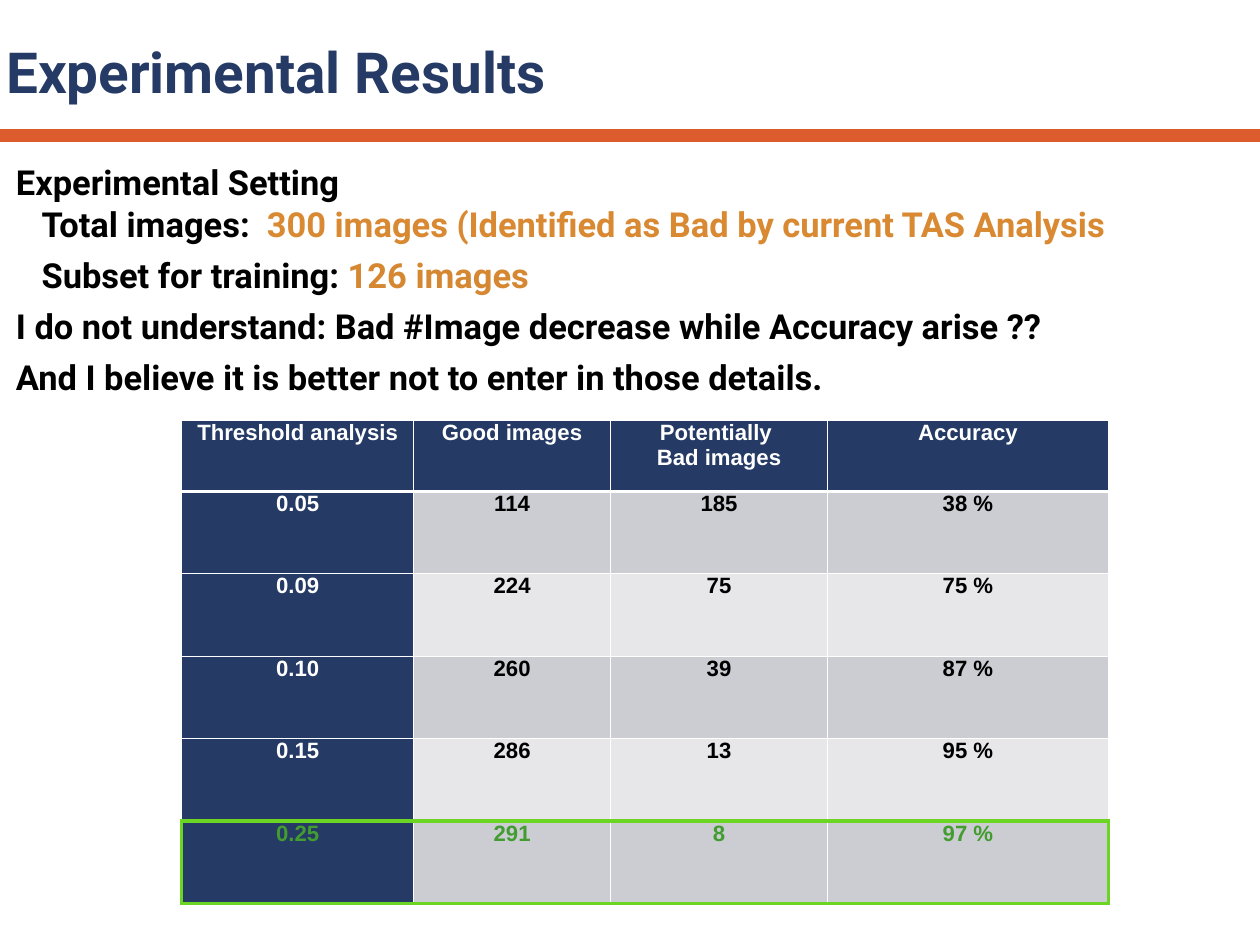
from lxml import etree
from pptx import Presentation
from pptx import util as u
from pptx.dml import color
from pptx.enum import shapes, text
from pptx.oxml import ns

THEME = {
    "navy": "253A65", "rule": "DD5C2D", "black": "000000", "white": "FFFFFF",
    "total": "D88932", "subset": "D58731", "best": "439C30", "frame": "6AD523",
    "dark_band": "CBCDD2", "light_band": "E7E7EA",
    "title_font": {"name": "Roboto", "size": u.Pt(46), "bold": True},
    "body_font": {"name": "Roboto", "size": u.Pt(28), "bold": True},
    "table_font": {"name": "Arial", "size": u.Pt(18), "bold": True},
}


def format_font(font, font_format, color_name):
    for name, value in THEME[font_format].items():
        setattr(font, name, value)
    font.color.rgb = color.RGBColor.from_string(THEME[color_name])


def place(shape, left, top, width, height, anchor):
    box = {"left": left, "top": top, "width": width, "height": height}
    for name, value in box.items():
        setattr(shape, name, u.Inches(value))
    frame_format = {"word_wrap": True, "auto_size": text.MSO_AUTO_SIZE.NONE,
                    "vertical_anchor": anchor}
    for side in ("left", "top", "right", "bottom"):
        frame_format[f"margin_{side}"] = u.Inches(0.07)
    for name, value in frame_format.items():
        setattr(shape.text_frame, name, value)


presentation = Presentation()
presentation.slide_width = u.Inches(14.22)
presentation.slide_height = u.Inches(10.67)
slide = presentation.slides.add_slide(presentation.slide_layouts[1])

rule = slide.shapes.add_connector(shapes.MSO_CONNECTOR.STRAIGHT, u.Inches(0),
                                  u.Inches(1.53), u.Inches(14.22), u.Inches(1.53))
rule.line.width = u.Pt(10)
rule.line.color.rgb = color.RGBColor.from_string(THEME["rule"])
etree.SubElement(rule._element.spPr, ns.qn("a:effectLst"))

title = slide.shapes.title
place(title, 0, 0.3, 9.2, 1.01, text.MSO_ANCHOR.MIDDLE)
title.text_frame.text = "Experimental Results"
title_paragraph = title.text_frame.paragraphs[0]
title_paragraph.alignment = text.PP_ALIGN.LEFT
format_font(title_paragraph.font, "title_font", "navy")

body = slide.placeholders[1]
place(body, 0.11, 1.75, 14, 7.21, text.MSO_ANCHOR.TOP)
body_lines = [
    (0, 0, [("Experimental Setting", "black")]),
    (0.29, 0, [("Total images:  ", "black"),
               ("300 images (Identified as Bad by current TAS Analysis", "total")]),
    (0.29, 8, [("Subset for training: ", "black"), ("126 images", "subset")]),
    (0, 8, [("I do not understand: Bad #Image decrease while Accuracy arise ??", "black")]),
    (0, 8, [("And I believe it is better not to enter in those details.", "black")]),
]
for index, (indent, space_before, runs) in enumerate(body_lines):
    paragraph = body.text_frame.paragraphs[0] if index == 0 else body.text_frame.add_paragraph()
    properties = paragraph._p.get_or_add_pPr()
    properties.set("marL", str(u.Inches(indent)))
    properties.set("indent", "0")
    paragraph.space_before = u.Pt(space_before)
    etree.SubElement(properties, ns.qn("a:buNone"))
    for words, color_name in runs:
        run = paragraph.add_run()
        run.text = words
        format_font(run.font, "body_font", color_name)

results = [
    ["Threshold analysis", "Good images", "Potentially \vBad images", "Accuracy"],
    ["0.05", "114", "185", "38 %"],
    ["0.09", "224", "75", "75 %"],
    ["0.10", "260", "39", "87 %"],
    ["0.15", "286", "13", "95 %"],
    ["0.25", "291", "8", "97 %"],
]
column_widths = [2.62, 2.22, 2.45, 3.17]
row_heights = [0.8] + [0.93] * 5
last_row, last_column = len(results) - 1, len(column_widths) - 1
table = slide.shapes.add_table(len(results), len(column_widths), u.Inches(2.05), u.Inches(4.75),
                               u.Inches(sum(column_widths)), u.Inches(sum(row_heights))).table
for column, width in zip(table.columns, column_widths):
    column.width = u.Inches(width)
for row, height in zip(table.rows, row_heights):
    row.height = u.Inches(height)

for row_index, values in enumerate(results):
    for column_index, value in enumerate(values):
        is_header = row_index == 0
        is_best = row_index == last_row
        is_navy = is_header or column_index == 0
        band = "dark_band" if row_index % 2 else "light_band"
        cell = table.cell(row_index, column_index)
        cell.text = value
        for side in ("left", "top", "right", "bottom"):
            setattr(cell, f"margin_{side}", 0)
        cell.vertical_anchor = text.MSO_ANCHOR.TOP
        cell.fill.solid()
        cell.fill.fore_color.rgb = color.RGBColor.from_string(THEME["navy" if is_navy else band])
        for paragraph in cell.text_frame.paragraphs:
            paragraph.alignment = text.PP_ALIGN.CENTER
            for run in paragraph.runs:
                format_font(run.font, "table_font",
                            "best" if is_best else "white" if is_navy else "black")

        thin, thick, frame = ("white", 1), ("white", 3), ("frame", 3)
        borders = {
            "lnL": frame if is_best and column_index == 0 else thin,
            "lnR": frame if is_best and column_index == last_column else thin,
            "lnT": frame if is_best else thick if row_index == 1 else thin,
            "lnB": frame if row_index >= last_row - 1 else thick if is_header else thin,
        }
        cell_properties = cell._tc.get_or_add_tcPr()
        for position, (tag, (color_name, points)) in enumerate(borders.items()):
            border = etree.Element(ns.qn(f"a:{tag}"), w=str(u.Pt(points)))
            fill = etree.SubElement(border, ns.qn("a:solidFill"))
            etree.SubElement(fill, ns.qn("a:srgbClr"), val=THEME[color_name])
            cell_properties.insert(position, border)

presentation.save("out.pptx")
